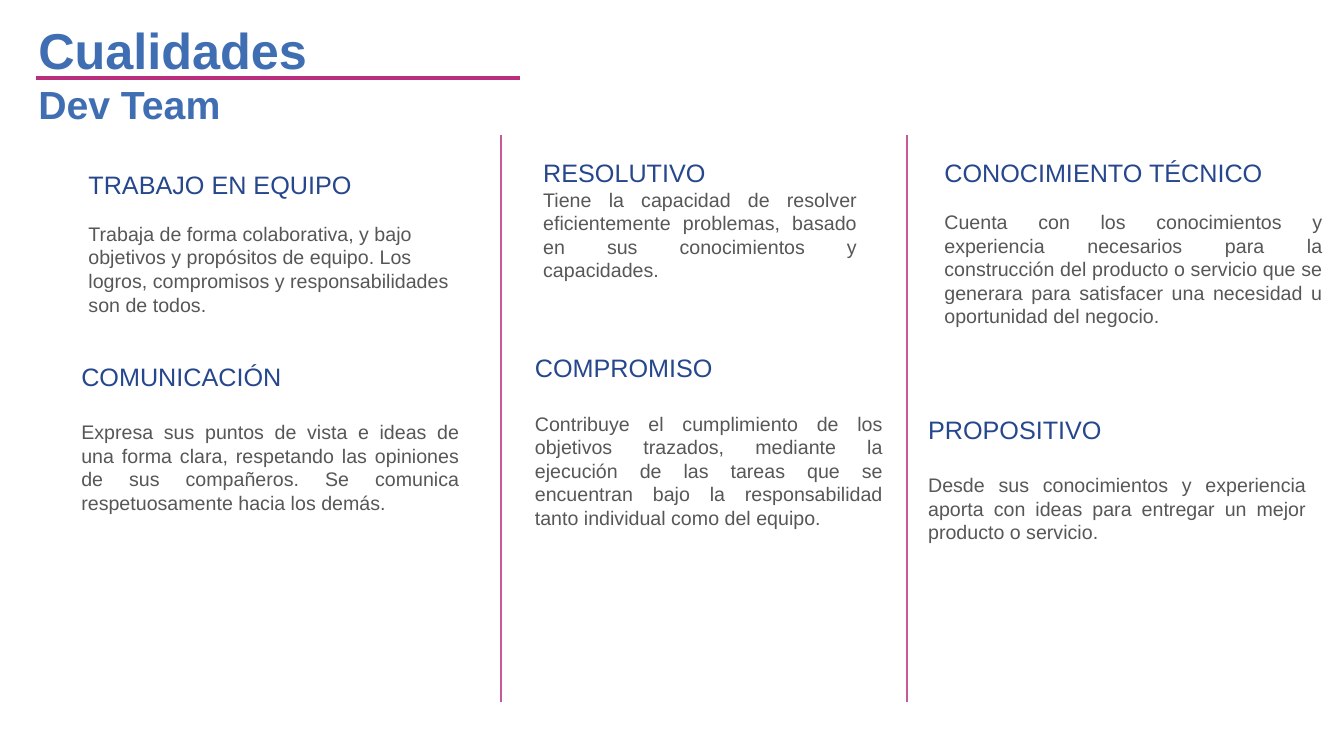
from pptx import Presentation
from pptx.dml.color import RGBColor
from pptx.enum import shapes, text
from pptx.oxml import ns
from pptx.util import Cm, Pt

FONT = "Arial"
TITLE_BLUE = "406EB3"
HEADING_BLUE = "26478D"
BODY_GREY = "575756"
RULE_PINK = "BA2F7D"
DIVIDER_PINK = "C85997"

LEFT = text.PP_ALIGN.LEFT
JUSTIFY = text.PP_ALIGN.JUSTIFY

# heading, description, alignment, gap in points, (left, top, width, height) in cm
QUALITIES = [
    ("TRABAJO EN EQUIPO",
     "Trabaja de forma colaborativa, y bajo objetivos y propósitos de equipo. "
     "Los logros, compromisos y responsabilidades son de todos.",
     LEFT, 16, (1.98, 4.14, 10.03, 4.01)),
    ("COMUNICACIÓN",
     "Expresa sus puntos de vista e ideas de una forma clara, respetando las "
     "opiniones de sus compañeros. Se comunica respetuosamente hacia los demás.",
     JUSTIFY, 20.7, (1.8, 8.97, 10.03, 4.19)),
    ("RESOLUTIVO",
     "Tiene la capacidad de resolver eficientemente problemas, basado en sus "
     "conocimientos y capacidades.",
     JUSTIFY, 0, (13.44, 3.84, 8.41, 4.45)),
    ("COMPROMISO",
     "Contribuye el cumplimiento de los objetivos trazados, mediante la "
     "ejecución de las tareas que se encuentran bajo la responsabilidad tanto "
     "individual como del equipo.",
     JUSTIFY, 20.7, (13.23, 8.76, 9.27, 6.32)),
    ("CONOCIMIENTO TÉCNICO",
     "Cuenta con los conocimientos y experiencia necesarios para la "
     "construcción del producto o servicio que se generara para satisfacer una "
     "necesidad u oportunidad del negocio.",
     JUSTIFY, 16, (23.55, 3.84, 10.03, 4.62)),
    ("PROPOSITIVO",
     "Desde sus conocimientos y experiencia aporta con ideas para entregar un "
     "mejor producto o servicio.",
     JUSTIFY, 20.7, (23.14, 10.31, 10.03, 3.58)),
]


def color(hex_value):
    return RGBColor.from_string(hex_value)


def format_paragraph(paragraph, size, hex_value, align=LEFT, bold=False):
    paragraph.alignment = align
    for run in paragraph.runs:
        run.font.name = FONT
        run.font.size = Pt(size)
        run.font.bold = bold
        run.font.color.rgb = color(hex_value)


def add_title(slide):
    title = slide.shapes.title
    title.left, title.top = Cm(0.71), Cm(0.36)
    title.width, title.height = Cm(7.34), Cm(3)
    frame = title.text_frame
    frame.text = "Cualidades\nDev Team"
    frame.word_wrap = False
    frame.auto_size = text.MSO_AUTO_SIZE.NONE
    frame.vertical_anchor = text.MSO_ANCHOR.TOP
    for paragraph, size in zip(frame.paragraphs, (36, 28)):
        format_paragraph(paragraph, size, TITLE_BLUE, bold=True)


def add_line(slide, start, end, hex_value, width):
    line = slide.shapes.add_connector(
        shapes.MSO_CONNECTOR.STRAIGHT, *map(Cm, start + end))
    line.line.color.rgb = color(hex_value)
    line.line.width = Pt(width)
    properties = line._element.spPr
    properties.append(properties.makeelement(ns.qn("a:effectLst"), {}))


def add_quality(slide, heading, description, align, gap, place):
    frame = slide.shapes.add_textbox(*map(Cm, place)).text_frame
    frame.word_wrap = True
    frame.text = f"{heading}\n{description}"
    heading_line, body = frame.paragraphs
    format_paragraph(heading_line, 18, HEADING_BLUE, align)
    format_paragraph(body, 14, BODY_GREY, align)
    body.space_before = Pt(gap)


def main():
    deck = Presentation()
    deck.slide_width, deck.slide_height = Cm(33.87), Cm(19.05)
    slide = deck.slides.add_slide(deck.slide_layouts.get_by_name("Title Only"))
    add_title(slide)
    add_line(slide, (0.91, 1.96), (13.11, 1.96), RULE_PINK, 3)
    for x in (12.62, 22.86):
        add_line(slide, (x, 3.4), (x, 17.7), DIVIDER_PINK, 1.5)
    for quality in QUALITIES:
        add_quality(slide, *quality)
    deck.save("out.pptx")


if __name__ == "__main__":
    main()
